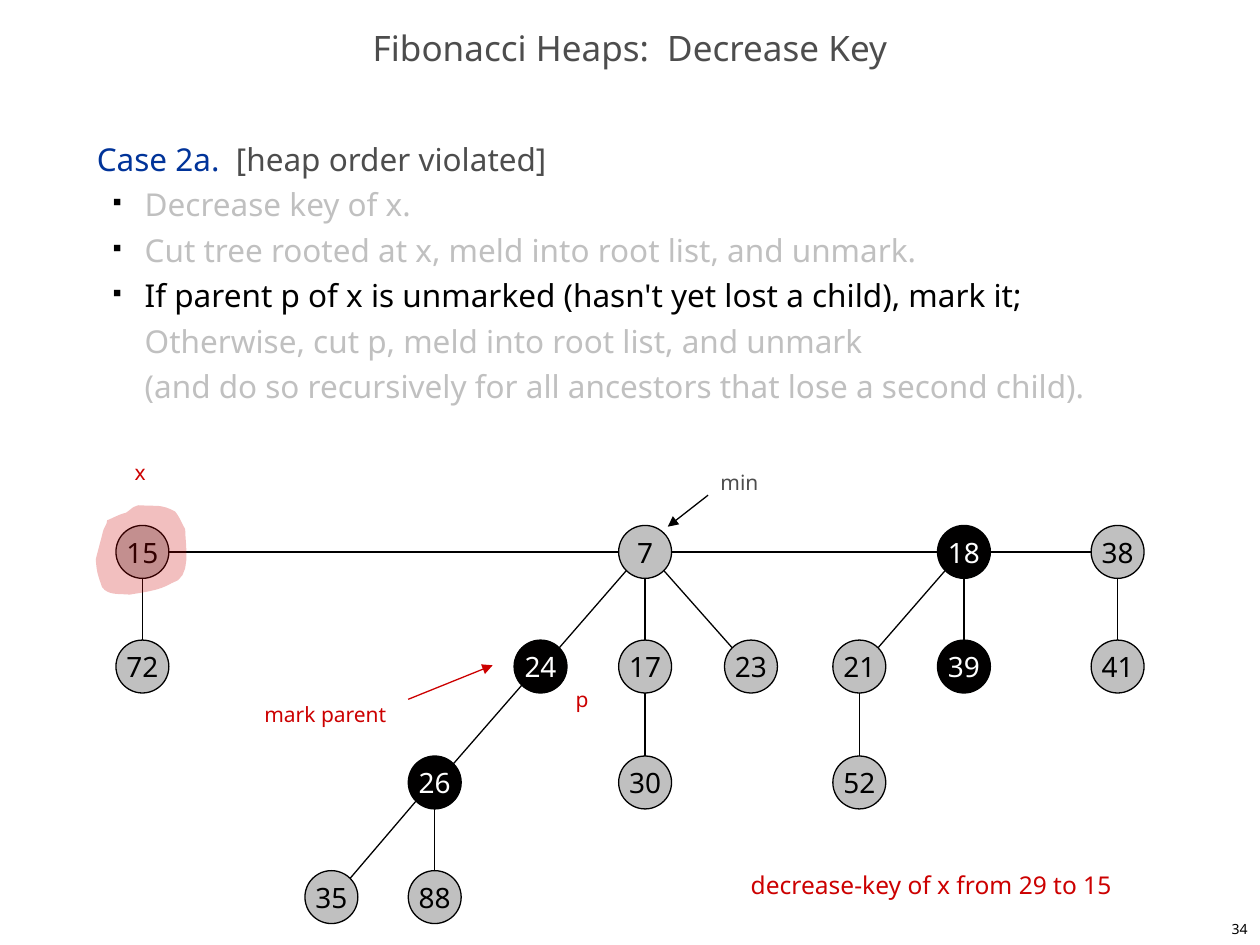
import pptx
import pptx.dml.color
import pptx.enum.shapes
import pptx.enum.text
import pptx.oxml
import pptx.oxml.ns
import pptx.util
from dataclasses import dataclass
from lxml import etree

Inches = pptx.util.Inches
Pt = pptx.util.Pt
Align = pptx.enum.text.PP_ALIGN
Anchor = pptx.enum.text.MSO_ANCHOR
Fit = pptx.enum.text.MSO_AUTO_SIZE
qn = pptx.oxml.ns.qn


@dataclass(frozen=True)
class Theme:
    font: str = "Noto Sans"
    black: str = "000000"
    marked: str = "010000"
    white: str = "FFFFFF"
    grey: str = "C0C0C0"
    text: str = "4D4D4D"
    blue: str = "003399"
    red: str = "CC0000"
    title_size: int = 20
    body_size: int = 18
    key_size: int = 16
    note_size: int = 14
    label_size: int = 12
    number_size: int = 8
    body_leading: int = 26
    line_width: float = 0.75


THEME = Theme()
RADIUS = 0.21
DIAGONAL = 0.15  # edge offset at 45 degrees on a node's rim
ROWS = [4.38, 5.29, 6.21, 7.12]

# key: (centre x, row, marked)
NODES = {
    15: (1.13, 0, False), 72: (1.13, 1, False),
    7: (5.12, 0, False), 24: (4.29, 1, True), 17: (5.12, 1, False),
    23: (5.96, 1, False), 26: (3.45, 2, True), 30: (5.12, 2, False),
    35: (2.63, 3, False), 88: (3.45, 3, False),
    18: (7.65, 0, True), 21: (6.82, 1, False), 39: (7.65, 1, True),
    52: (6.82, 2, False), 38: (8.87, 0, False), 41: (8.87, 1, False),
}
ROOTS = [15, 7, 18, 38]
CHILDREN = {15: [72], 7: [24, 17, 23], 24: [26], 17: [30], 26: [35, 88],
            18: [21, 39], 21: [52], 38: [41]}

# Highlight outline: start point, then control, control, end for each curve
HIGHLIGHT_START = (0.85, 4.13)
HIGHLIGHT_CURVES = [
    ((0.9, 4.11), (0.95, 4.08), (1, 4.07)),
    ((1.07, 4.02), (1.04, 4.03), (1.1, 4.01)),
    ((1.25, 4.02), (1.28, 4), (1.39, 4.06)),
    ((1.43, 4.11), (1.44, 4.15), (1.47, 4.2)),
    ((1.47, 4.33), (1.53, 4.59), (1.36, 4.63)),
    ((1.26, 4.69), (1.14, 4.7), (1.03, 4.72)),
    ((0.95, 4.71), (0.86, 4.73), (0.81, 4.66)),
    ((0.78, 4.57), (0.77, 4.56), (0.76, 4.44)),
    ((0.78, 4.36), (0.8, 4.29), (0.82, 4.21)),
    ((0.83, 4.18), (0.85, 4.16), (0.85, 4.13)),
]


def rgb(color):
    return pptx.dml.color.RGBColor.from_string(color)


def apply(target, values):
    for name, value in values.items():
        setattr(target, name, value)


def add_span(para, text, size, color):
    for index, line in enumerate(text.split("\n")):
        if index:
            para.add_line_break()
        if line:
            span = para.add_run()
            span.text = line
            apply(span.font, {"name": THEME.font, "size": Pt(size)})
            span.font.color.rgb = rgb(color)


def add_text(page, place, text, size, color, para_format=None, **frame_format):
    box = page.shapes.add_textbox(*map(Inches, place))
    apply(box.text_frame, {"word_wrap": False, **frame_format})
    para = box.text_frame.paragraphs[0]
    apply(para, para_format or {})
    add_span(para, text, size, color)


def add_bullet(para):
    properties = para._p.get_or_add_pPr()
    apply(para, {"level": 1})
    for name, length in {"marL": 0.38, "indent": -0.25}.items():
        properties.set(name, str(Inches(length)))
    color = etree.SubElement(properties, qn("a:buClr"))
    etree.SubElement(color, qn("a:srgbClr"), val=THEME.black)
    etree.SubElement(properties, qn("a:buSzPct"), val="35000")
    etree.SubElement(properties, qn("a:buChar"), char="■")


def add_body(page):
    box = page.shapes.add_textbox(*map(Inches, (0.67, 1, 8.58, 5.92)))
    box.text_frame.word_wrap = True
    paragraphs = [
        [("Case 2a.  ", THEME.blue), ("[heap order violated]", THEME.text)],
        [("Decrease key of x.", THEME.grey)],
        [("Cut tree rooted at x, meld into root list, and unmark.", THEME.grey)],
        [("If parent p of x is unmarked (hasn't yet lost a child), mark it;\n", THEME.black),
         ("Otherwise, cut p, meld into root list, and unmark\n"
          "(and do so recursively for all ancestors that lose a second child).", THEME.grey)],
    ]
    for index, spans in enumerate(paragraphs):
        para = box.text_frame.add_paragraph() if index else box.text_frame.paragraphs[0]
        para.line_spacing = Pt(THEME.body_leading)
        if index:
            add_bullet(para)
        for text, color in spans:
            add_span(para, text, THEME.body_size, color)


def add_line(page, start, end, color=THEME.black, arrow=False):
    line = page.shapes.add_connector(
        pptx.enum.shapes.MSO_CONNECTOR.STRAIGHT, *map(Inches, (*start, *end)))
    line.line.width = Pt(THEME.line_width)
    line.line.color.rgb = rgb(color)
    if arrow:
        etree.SubElement(line.line._get_or_add_ln(), qn("a:tailEnd"), type="triangle")
    etree.SubElement(line._element.spPr, qn("a:effectLst"))


def add_edge(page, parent, child):
    (x1, row1, _), (x2, row2, _) = NODES[parent], NODES[child]
    if row1 == row2:
        dx, dy = RADIUS, 0
    elif x1 == x2:
        dx, dy = 0, RADIUS
    else:
        dx, dy = (DIAGONAL if x2 > x1 else -DIAGONAL), DIAGONAL
    add_line(page, (x1 + dx, ROWS[row1] + dy), (x2 - dx, ROWS[row2] - dy))


def add_node(page, key):
    x, row, marked = NODES[key]
    place = (x - RADIUS, ROWS[row] - RADIUS, 2 * RADIUS, 2 * RADIUS)
    node = page.shapes.add_shape(
        pptx.enum.shapes.MSO_SHAPE.OVAL, *map(Inches, place))
    node.shadow.inherit = False
    node.fill.solid()
    node.fill.fore_color.rgb = rgb(THEME.marked if marked else THEME.grey)
    node.line.width = Pt(THEME.line_width)
    node.line.color.rgb = rgb(THEME.black)
    apply(node.text_frame, {"word_wrap": False, "vertical_anchor": Anchor.MIDDLE})
    para = node.text_frame.paragraphs[0]
    para.alignment = Align.CENTER
    add_span(para, str(key), THEME.key_size, THEME.white if marked else THEME.black)


def curve_points(start, curve, steps=8):
    for step in range(1, steps + 1):
        t = step / steps
        weights = ((1 - t) ** 3, 3 * t * (1 - t) ** 2, 3 * t * t * (1 - t), t ** 3)
        yield tuple(sum(w * p[axis] for w, p in zip(weights, (start, *curve)))
                    for axis in (0, 1))


def add_highlight(page):
    points, start = [], HIGHLIGHT_START
    for curve in HIGHLIGHT_CURVES:
        points.extend(curve_points(start, curve))
        start = curve[-1]
    builder = page.shapes.build_freeform(*HIGHLIGHT_START, scale=Inches(1))
    builder = page.shapes.build_freeform(*map(Inches, HIGHLIGHT_START))
    builder.add_line_segments([tuple(map(Inches, point)) for point in points], close=True)
    blob = builder.convert_to_shape()
    blob.shadow.inherit = False
    blob.fill.solid()
    blob.fill.fore_color.rgb = rgb(THEME.red)
    blob.line.fill.background()
    color = blob._element.spPr.find(qn("a:solidFill")).find(qn("a:srgbClr"))
    etree.SubElement(color, qn("a:alpha"), val="25000")


def main():
    deck = pptx.Presentation()
    apply(deck, {"slide_width": Inches(10), "slide_height": Inches(7.5)})
    page = deck.slides.add_slide(deck.slide_layouts[6])

    # Title, body and page number
    add_text(page, (0, 0.17, 10, 0.5), "Fibonacci Heaps:  Decrease Key",
             THEME.title_size, THEME.text, {"alignment": Align.CENTER, "line_spacing": 0.7},
             word_wrap=True, vertical_anchor=Anchor.MIDDLE)
    add_body(page)
    add_text(page, (7.92, 7.25, 2.08, 0.25), "34", THEME.number_size, THEME.black,
             {"alignment": Align.RIGHT}, vertical_anchor=Anchor.MIDDLE)

    # Heap: root list, tree edges, nodes
    for left, right in zip(ROOTS, ROOTS[1:]):
        add_edge(page, left, right)
    for parent, children in CHILDREN.items():
        for child in children:
            add_edge(page, parent, child)
    for key in NODES:
        add_node(page, key)
    add_highlight(page)

    # Labels and arrows
    for place, text, size, color in [
        ((5.62, 3.68, 0.5, 0.3), "min", THEME.label_size, THEME.text),
        ((0.97, 3.6, 0.3, 0.3), "x", THEME.label_size, THEME.red),
        ((4.47, 5.4, 0.3, 0.3), "p", THEME.label_size, THEME.red),
        ((2, 5.52, 1.17, 0.3), "mark parent", THEME.label_size, THEME.red),
        ((5.86, 6.86, 3.84, 0.34), "decrease-key of x from 29 to 15",
         THEME.note_size, THEME.red),
    ]:
        add_text(page, place, text, size, color, auto_size=Fit.SHAPE_TO_FIT_TEXT)
    add_line(page, (5.62, 3.93), (5.3, 4.18), arrow=True)
    add_line(page, (3.24, 5.55), (3.91, 5.28), THEME.red, arrow=True)

    deck.save("out.pptx")


if __name__ == "__main__":
    main()
